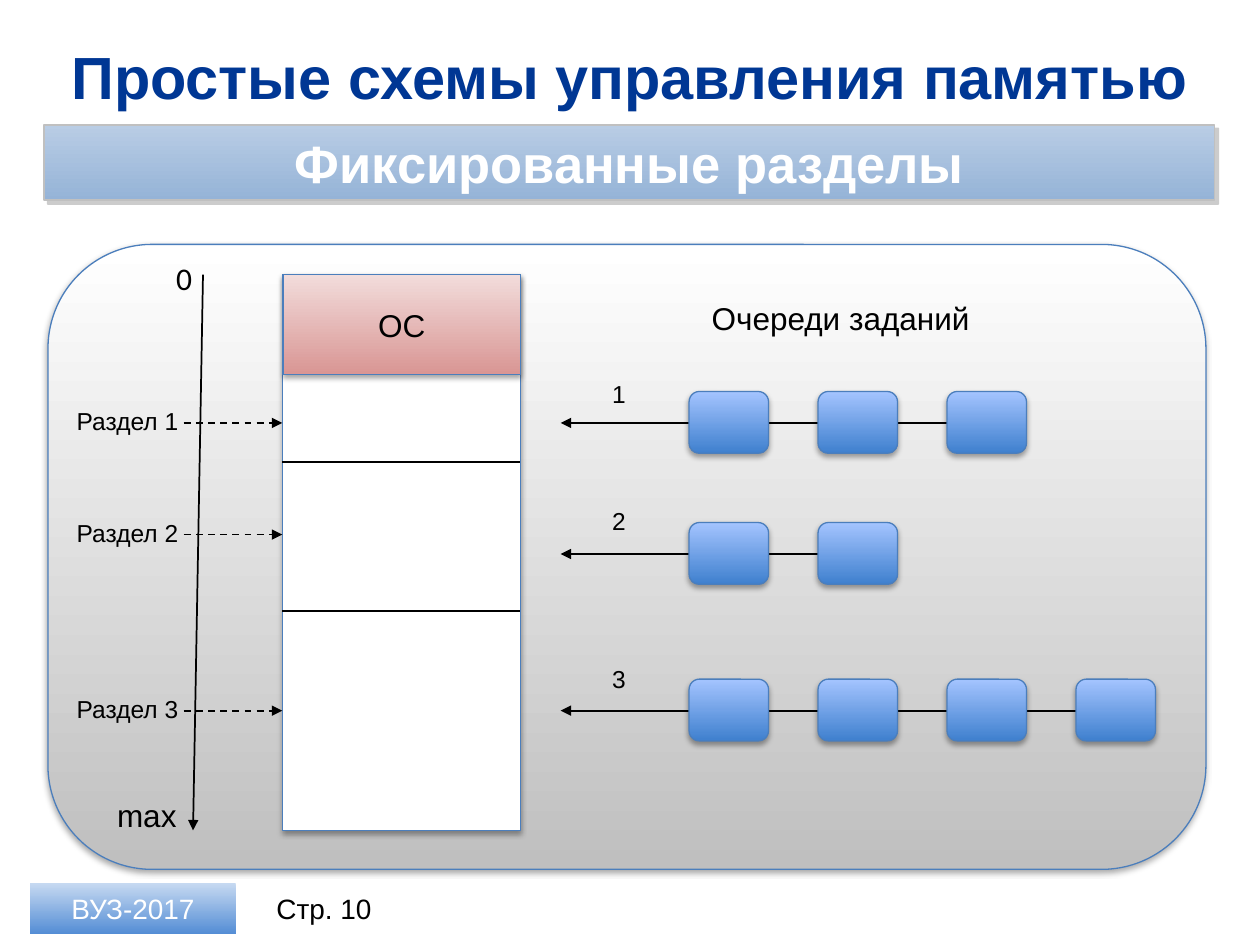
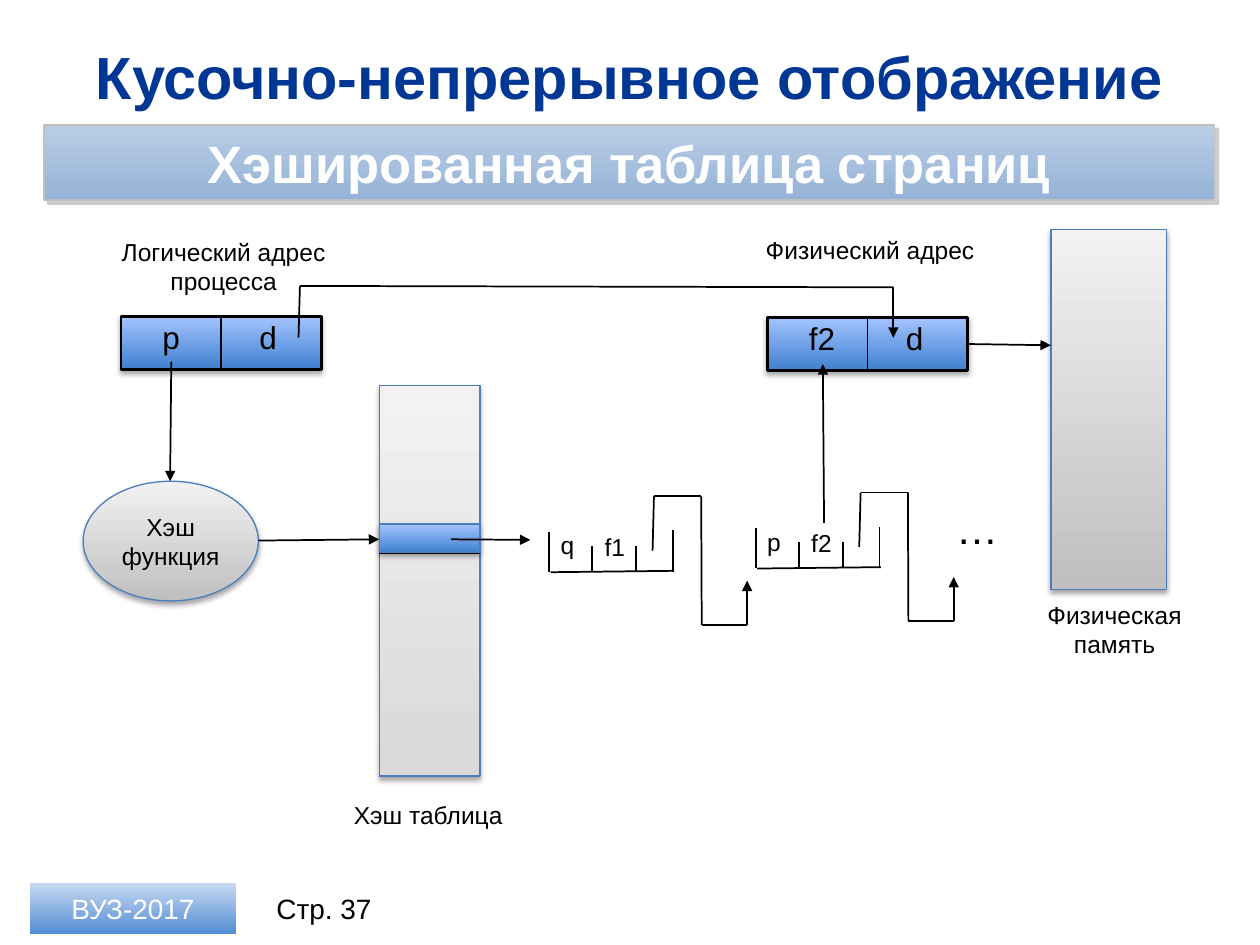
from itertools import pairwise

from lxml.etree import SubElement
from pptx import Presentation
from pptx.dml.color import RGBColor
from pptx.enum.dml import MSO_LINE_DASH_STYLE as DASH
from pptx.enum.shapes import MSO_CONNECTOR, MSO_SHAPE as SHAPE
from pptx.enum.text import MSO_ANCHOR as ANCHOR, PP_ALIGN as ALIGN
from pptx.oxml.ns import qn
from pptx.util import Pt

BLACK, WHITE = "000000", "FFFFFF"
NAVY, OUTLINE, SILVER = "003794", "4B7EBC", "C0C0C0"
BLUE = ("A4C4FF", "3F80CE")
BAND = ("B9CDE5", "95B3D7")
FOOTER = ("C6D9F1", "558ED5")
PANEL = (WHITE, "BFBFBF")
GREY = ("F2F2F2", "BFBFBF")
LIGHT_GREY = ("F2F2F2", "D9D9D9")
PINK = ("F2DCDB", "D99694")
SOFT_SHADOW = (BLACK, 35, 3.1, 1.8, 90)
HARD_SHADOW = ("808080", 40, 0, 3, 45)


def rgb(color):
    return RGBColor.from_string(color)


def write(sp, text, size, color=BLACK, bold=False, align=ALIGN.CENTER,
          anchor=ANCHOR.MIDDLE, font="Arial"):
    tf = sp.text_frame
    tf.word_wrap = True
    tf.vertical_anchor = anchor
    tf.margin_left = tf.margin_right = 0
    p = tf.paragraphs[0]
    p.text = text
    p.alignment = align
    for r in p.runs:
        r.font.name = font
        r.font.size = Pt(size)
        r.font.bold = bold
        r.font.color.rgb = rgb(color)


def add_text(slide, text, x, y, w, h, size, **style):
    box = slide.shapes.add_textbox(Pt(x), Pt(y), Pt(w), Pt(h))
    write(box, text, size, **style)
    return box


def add_label(slide, text, x, y, w, size=14, align=ALIGN.LEFT, font="Arial"):
    box = add_text(slide, text, x, y, w, size * 1.2 + 7.2, size, align=align,
                   anchor=ANCHOR.TOP, font=font)
    if align == ALIGN.LEFT:
        box.text_frame.margin_left = Pt(7.2)


def add_shadow(sp, color, alpha, blur, dist, angle):
    effects = sp._element.spPr.find(qn("a:effectLst"))
    shadow = SubElement(effects, qn("a:outerShdw"), blurRad=str(Pt(blur)),
                        dist=str(Pt(dist)), dir=str(angle * 60000),
                        rotWithShape="0")
    clr = SubElement(shadow, qn("a:srgbClr"), val=color)
    SubElement(clr, qn("a:alpha"), val=str(alpha * 1000))


def add_box(slide, x, y, w, h, colors, kind=SHAPE.RECTANGLE, line=OUTLINE,
            width=0.75, shadow=SOFT_SHADOW):
    sp = slide.shapes.add_shape(kind, Pt(x), Pt(y), Pt(w), Pt(h))
    sp.shadow.inherit = False
    if isinstance(colors, str):
        sp.fill.solid()
        sp.fill.fore_color.rgb = rgb(colors)
    else:
        sp.fill.gradient()
        sp.fill.gradient_angle = 270
        for stop, color in zip(sp.fill.gradient_stops, colors):
            stop.color.rgb = rgb(color)
    if line:
        sp.line.color.rgb = rgb(line)
        sp.line.width = Pt(width)
    else:
        sp.line.fill.background()
    if shadow:
        add_shadow(sp, *shadow)
    return sp


def add_line(slide, start, end, arrow=False, dashed=False):
    ends = [Pt(v) for v in (*start, *end)]
    c = slide.shapes.add_connector(MSO_CONNECTOR.STRAIGHT, *ends)
    c.line.color.rgb = rgb(BLACK)
    c.line.width = Pt(1)
    if dashed:
        c.line.dash_style = DASH.DASH
    if arrow:
        SubElement(c.line._get_or_add_ln(), qn("a:tailEnd"), type="triangle")
    SubElement(c._element.spPr, qn("a:effectLst"))


def add_route(slide, points):
    for start, end in pairwise(points):
        add_line(slide, start, end, arrow=end == points[-1])


def add_base(prs, title, subtitle, page):
    slide = prs.slides.add_slide(prs.slide_layouts[6])
    add_text(slide, title, 25.2, 18.7, 668.9, 49, 34, color=NAVY, bold=True)
    band = add_box(slide, 25.2, 71.3, 668.9, 43.2, BAND, line=SILVER, width=1,
                   shadow=HARD_SHADOW)
    write(band, subtitle, 30, color=WHITE, bold=True)
    footer = add_box(slide, 17.3, 504.7, 117.4, 28.8, FOOTER, line=None,
                     shadow=None)
    write(footer, "ВУЗ-2017", 16, color=WHITE)
    add_text(slide, f"Стр. {page}", 146.2, 504.7, 77.8, 28.8, 16)
    return slide


def add_queue(slide, number, count, y, number_y):
    x, step, w, h = 393.8, 73.7, 45.4, 35.3
    add_line(slide, (x + (count - 1) * step + w / 2, y), (320.4, y), arrow=True)
    for i in range(count):
        add_box(slide, x + i * step, y - 18, w, h, BLUE, SHAPE.ROUNDED_RECTANGLE)
    add_label(slide, str(number), 342.7, number_y, 28)


def add_address(slide, x, y, page, offset):
    w, h = 114.5, 30.5
    add_box(slide, x, y, w, h, BLUE, line=BLACK, width=1.5)
    add_line(slide, (x + w / 2, y), (x + w / 2, y + h))
    add_label(slide, page, x + 16.6, y - 2.5, 32, 18)
    add_label(slide, offset, x + 72, y - 2.5, 24, 18)


def add_chain_node(slide, x, y, page, frame):
    bottom = y + 22.8
    add_line(slide, (x, y), (x, bottom))
    add_line(slide, (x + 0.7, bottom + 0.4), (x + 71.3, bottom - 0.4))
    for dx, top in ((24.5, 8), (49.7, 8), (70.6, -0.7)):
        add_line(slide, (x + dx, y + top), (x + dx, bottom))
    add_label(slide, page, x - 0.7, y - 4.3, 18)
    add_label(slide, frame, x + 24.5, y - 3.3, 28)
    link = [(59, 10.8), (59.8, -20.2), (86.8, -20.2), (87.1, 53.3),
            (113, 53.3), (113, 28)]
    add_route(slide, [(x + dx, y + dy) for dx, dy in link])


def build_fixed_partitions(prs):
    slide = add_base(prs, "Простые схемы управления памятью",
                     "Фиксированные разделы", 10)
    add_box(slide, 27.4, 139.7, 661.7, 357.1, PANEL, SHAPE.ROUNDED_RECTANGLE)

    left, top, w, h = 161.3, 157, 136.1, 317.5
    add_box(slide, left, top, w, h, WHITE)
    write(add_box(slide, left + 0.5, top, w - 0.5, 56.9, PINK), "ОС", 18)
    for y in (264.2, 349.2):
        add_line(slide, (left, y), (left + w, y))

    add_line(slide, (116, top), (110.3, top + h), arrow=True)
    add_label(slide, "0", 93.6, 144.7, 20, 18, font="Calibri")
    add_label(slide, "max", 59.8, 451.4, 51, 18)
    for number, y in enumerate((241.7, 305.5, 406.1), 1):
        add_label(slide, f"Раздел {number}", 36.7, y - 13, 77)
        add_line(slide, (105, y), (left, y), arrow=True, dashed=True)

    add_label(slide, "Очереди заданий", 399.6, 167.2, 193, 18)
    queues = ((3, 241.7, 213.1), (2, 316.6, 285.8), (4, 406.1, 375.8))
    for number, queue in enumerate(queues, 1):
        add_queue(slide, number, *queue)


def build_hashed_table(prs):
    slide = add_base(prs, "Кусочно-непрерывное отображение",
                     "Хэшированная таблица страниц", 37)
    center = ALIGN.CENTER
    add_label(slide, "Логический адрес процесса", 61.2, 131.8, 133.2, align=center)
    add_address(slide, 69.1, 180.7, "p", "d")
    add_label(slide, "Физический адрес", 430.6, 131, 133.2, align=center)
    add_address(slide, 438.5, 181.4, "f2", "d")

    hash_function = add_box(slide, 47.5, 275, 100.1, 68.4, GREY, SHAPE.OVAL)
    write(hash_function, "Хэш\nфункция", 14)

    left, w = 216.7, 57.6
    add_box(slide, left, 220.3, w, 223.2, LIGHT_GREY)
    for y in (299.7, 316.3):
        add_line(slide, (left, y), (left + w, y))
    add_box(slide, left, 299.5, w, 16.2, BLUE)
    add_label(slide, "Хэш таблица", 195.1, 453.6, 103)

    add_chain_node(slide, 313.9, 303.8, "q", "f1")
    add_chain_node(slide, 432, 301.7, "p", "f2")
    add_label(slide, "…", 539.3, 283.7, 40.3, 24)

    add_box(slide, 600.5, 131, 66.2, 205.9, GREY)
    add_label(slide, "Физическая\nпамять", 585.4, 339.1, 103, align=center)

    arrows = [((97.9, 206.6), (97.2, 275)), ((147.6, 308.9), (216.7, 308.2)),
              ((257.8, 308.2), (303.1, 308.5)), ((470.9, 298.8), (470.2, 208.1)),
              ((553, 196.6), (600.5, 197.3))]
    for start, end in arrows:
        add_line(slide, start, end, arrow=True)
    add_route(slide, [(170.6, 193), (171.4, 163.4), (510.5, 164.2), (510.5, 193)])


def main():
    prs = Presentation()
    prs.slide_width, prs.slide_height = Pt(720), Pt(540)
    build_fixed_partitions(prs)
    build_hashed_table(prs)
    prs.save("out.pptx")


if __name__ == "__main__":
    main()
